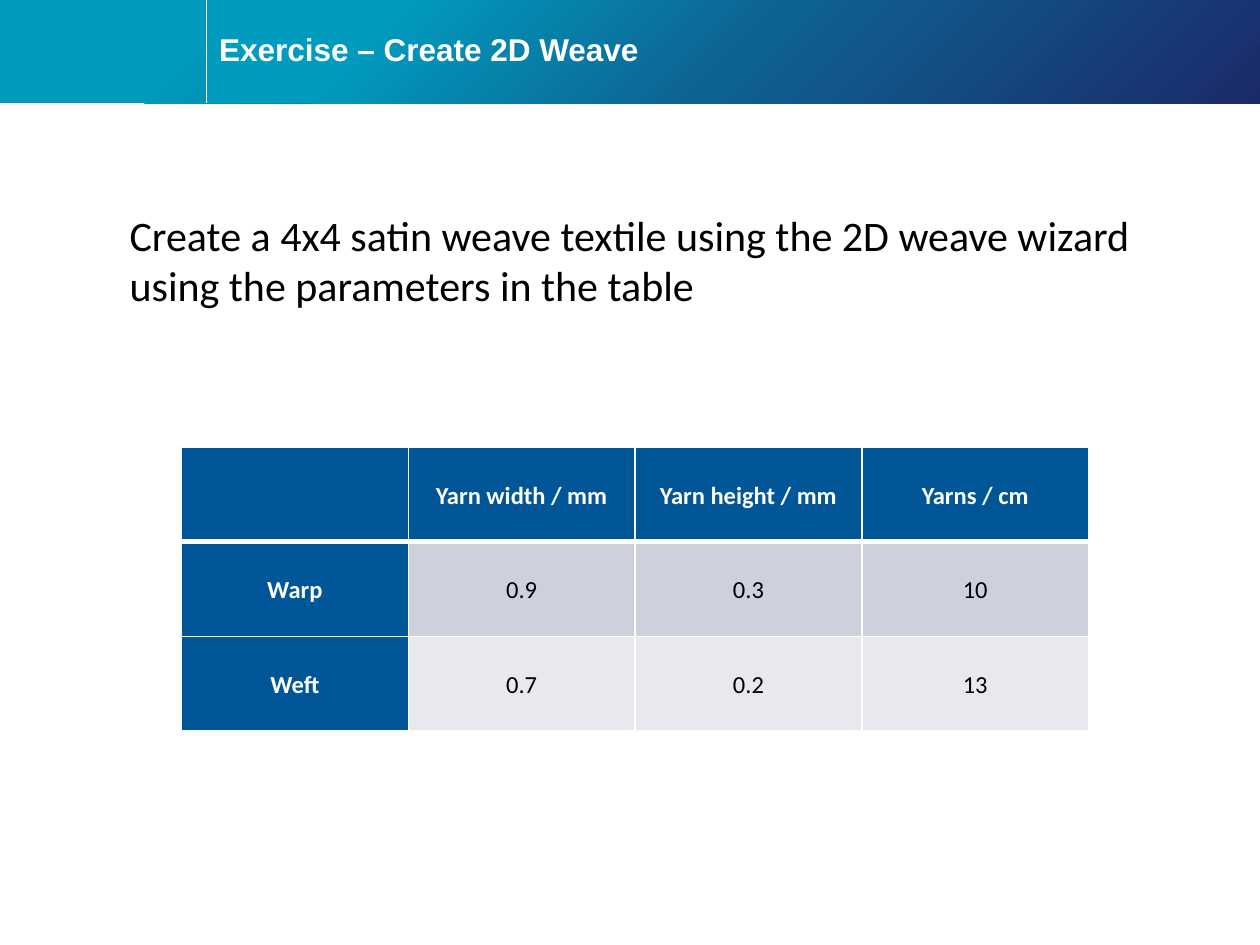
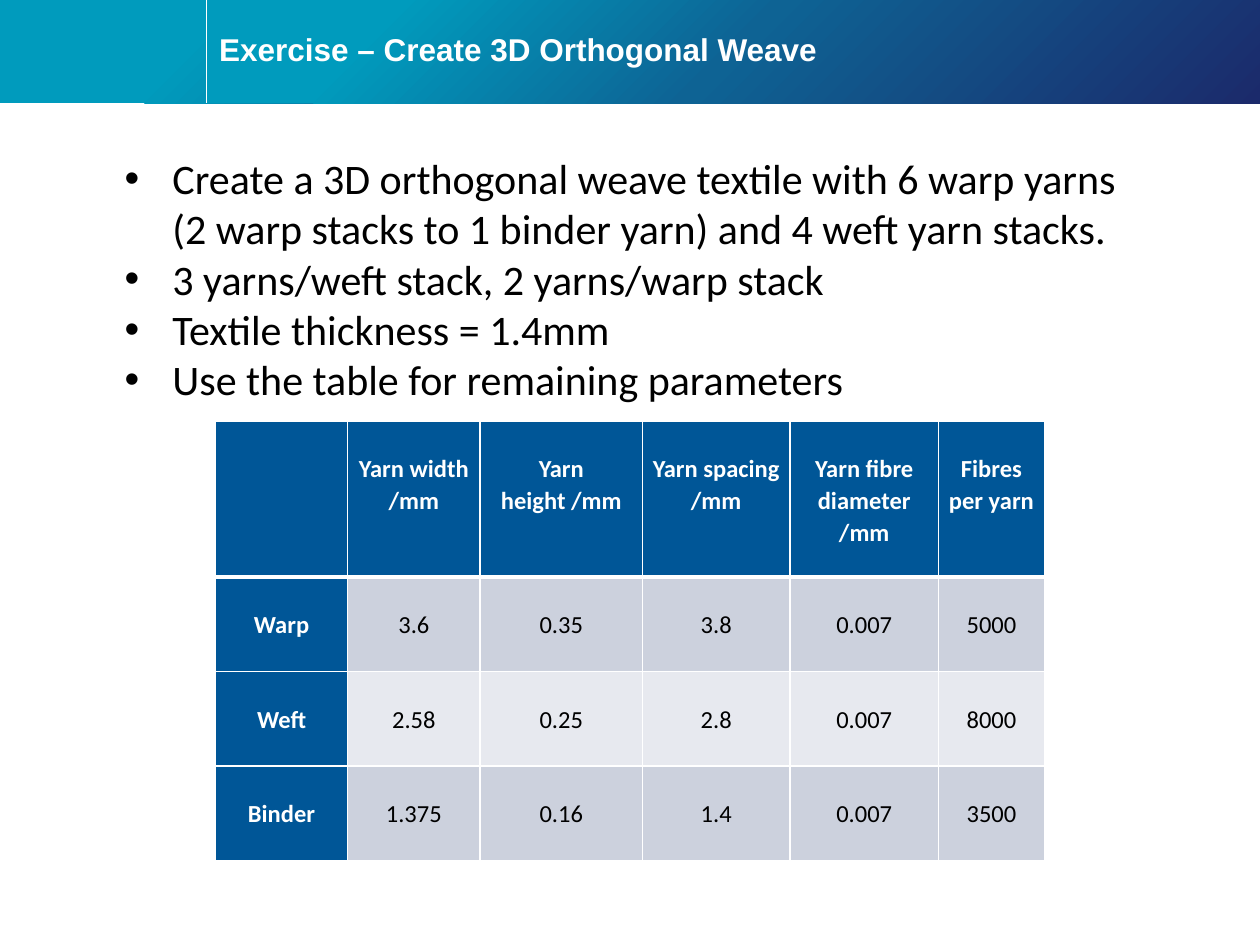
"""Build two textile weave exercise slides."""
from dataclasses import dataclass
from typing import Any

import lxml.etree
import pptx
import pptx.dml.color
import pptx.enum.shapes
import pptx.enum.text
import pptx.oxml.ns
import pptx.util

Inches = pptx.util.Inches
Pt = pptx.util.Pt
RGB = pptx.dml.color.RGBColor.from_string
qn = pptx.oxml.ns.qn


@dataclass(frozen=True)
class Theme:
    """Colours, fonts and type sizes shared by the slides."""
    white: str = "FFFFFF"
    black: str = "000000"
    heading: str = "005697"
    stripes: tuple[str, str] = ("CCD1DD", "E7E9EF")
    band: tuple[tuple[int, str], ...] = ((17, "009BBD"), (50, "0E6394"), (100, "1B2A6B"))
    title_font: str = "Arial"
    body_font: str = "Calibri"
    title_size: int = 18
    body_size: int = 24
    table_size: int = 14


@dataclass(frozen=True)
class Body:
    """Instruction text and its place in inches."""
    box: tuple[float, float, float, float]
    lines: tuple[str, ...]
    bulleted: bool = False


@dataclass(frozen=True)
class YarnTable:
    """Yarn parameters with column widths and row heights in inches."""
    left: float
    top: float
    widths: tuple[float, ...]
    header_height: float
    rows: tuple[tuple[str, ...], ...]


@dataclass(frozen=True)
class Exercise:
    """Content of one exercise slide."""
    title: str
    body: Body
    yarns: YarnTable


THEME = Theme()
BAND_HEIGHT = 0.82
DIVIDER_X = 1.64
ROW_HEIGHT = 0.75
BULLET_INDENT = 0.38

EXERCISES = (
    Exercise(
        "Exercise – Create 2D Weave",
        Body((0.93, 1.61, 8.22, 0.91),
             ("Create a 4x4 satin weave textile using the 2D weave wizard "
              "using the parameters in the table",)),
        YarnTable(1.44, 3.55, (1.8,) * 4, 0.75, (
            ("", "Yarn width / mm", "Yarn height / mm", "Yarns / cm"),
            ("Warp", "0.9", "0.3", "10"),
            ("Weft", "0.7", "0.2", "13"),
        )),
    ),
    Exercise(
        "Exercise – Create 3D Orthogonal Weave",
        Body((0.89, 1.16, 8.22, 2.12),
             ("Create a 3D orthogonal weave textile with 6 warp yarns "
              "(2 warp stacks to 1 binder yarn) and 4 weft yarn stacks.",
              "3 yarns/weft stack, 2 yarns/warp stack",
              "Textile thickness = 1.4mm",
              "Use the table for remaining parameters"),
             bulleted=True),
        YarnTable(1.71, 3.34, (1.05, 1.05, 1.29, 1.17, 1.18, 0.84), 1.24, (
            ("", "Yarn width /mm", "Yarn height /mm", "Yarn spacing /mm",
             "Yarn fibre diameter /mm", "Fibres per yarn"),
            ("Warp", "3.6", "0.35", "3.8", "0.007", "5000"),
            ("Weft", "2.58", "0.25", "2.8", "0.007", "8000"),
            ("Binder", "1.375", "0.16", "1.4", "0.007", "3500"),
        )),
    ),
)


def apply(target: Any, values: dict[str, Any]) -> None:
    """Set each named format value on the target."""
    for name, value in values.items():
        setattr(target, name, value)


def set_font(paragraph: Any, family: str, size: int, colour: str, bold: bool = False) -> None:
    """Format the font of a paragraph's runs."""
    for run in paragraph.runs:
        apply(run.font, {"name": family, "size": Pt(size), "bold": bold})
        run.font.color.rgb = RGB(colour)


def add_colour(parent: Any, colour: str) -> None:
    """Append a plain RGB colour element."""
    lxml.etree.SubElement(parent, qn("a:srgbClr"), val=colour)


def draw_band(slide: Any, left: float) -> None:
    """Draw a diagonal gradient band from left to the slide edge."""
    band = slide.shapes.add_shape(
        pptx.enum.shapes.MSO_SHAPE.RECTANGLE,
        Inches(left), 0, Inches(10 - left), Inches(BAND_HEIGHT))
    band.shadow.inherit = False
    band.line.fill.background()
    band.fill.gradient()
    band.fill.gradient_angle = 315
    stops = band.fill._fill._gradFill.find(qn("a:gsLst"))
    for stop in list(stops):
        stops.remove(stop)
    for percent, colour in THEME.band:
        add_colour(lxml.etree.SubElement(stops, qn("a:gs"), pos=str(percent * 1000)), colour)


def draw_header(slide: Any, title: str) -> None:
    """Draw the bands, the divider and the slide title."""
    for left in (0, DIVIDER_X):
        draw_band(slide, left)
    divider = slide.shapes.add_connector(
        pptx.enum.shapes.MSO_CONNECTOR.STRAIGHT,
        Inches(DIVIDER_X), 0, Inches(DIVIDER_X), Inches(BAND_HEIGHT))
    divider.line.color.rgb = RGB(THEME.white)
    divider.line.width = Pt(0.5)
    lxml.etree.SubElement(divider._element.spPr, qn("a:effectLst"))

    heading = slide.shapes.add_textbox(
        Inches(DIVIDER_X), Inches(0.03), Inches(8.35), Inches(0.76)).text_frame
    apply(heading, {"word_wrap": True, "text": title,
                    "vertical_anchor": pptx.enum.text.MSO_ANCHOR.MIDDLE})
    heading.paragraphs[0].line_spacing = 0.9
    set_font(heading.paragraphs[0], THEME.title_font, THEME.title_size, THEME.white, True)


def add_bullet(paragraph: Any) -> None:
    """Give a paragraph a hanging round bullet."""
    properties = paragraph._p.get_or_add_pPr()
    indent = Inches(BULLET_INDENT)
    properties.set("marL", str(indent))
    properties.set("indent", str(-indent))
    lxml.etree.SubElement(properties, qn("a:buFont"), typeface=THEME.title_font)
    lxml.etree.SubElement(properties, qn("a:buChar"), char="•")


def draw_body(slide: Any, body: Body) -> None:
    """Draw the instruction text."""
    instructions = slide.shapes.add_textbox(*map(Inches, body.box)).text_frame
    apply(instructions, {"word_wrap": True, "text": "\n".join(body.lines),
                         "auto_size": pptx.enum.text.MSO_AUTO_SIZE.SHAPE_TO_FIT_TEXT})
    for paragraph in instructions.paragraphs:
        if body.bulleted:
            add_bullet(paragraph)
        set_font(paragraph, THEME.body_font, THEME.body_size, THEME.black)


def set_borders(cell: Any, row: int) -> None:
    """Give a cell white borders, thicker between header and values."""
    properties = cell._tc.get_or_add_tcPr()
    widths = {"L": 1, "R": 1, "T": 3 if row == 1 else 1, "B": 3 if row == 0 else 1}
    for position, (side, width) in enumerate(widths.items()):
        border = lxml.etree.Element(qn(f"a:ln{side}"), w=str(Pt(width)))
        add_colour(lxml.etree.SubElement(border, qn("a:solidFill")), THEME.white)
        properties.insert(position, border)


def fill_cell(cell: Any, text: str, row: int, column: int) -> None:
    """Write and format one cell of the yarn table."""
    is_heading = row == 0 or column == 0
    apply(cell, {"text": text, "margin_left": Inches(0.07), "margin_right": Inches(0.07),
                 "margin_top": Inches(0.25), "margin_bottom": 0,
                 "vertical_anchor": pptx.enum.text.MSO_ANCHOR.TOP})
    cell.fill.solid()
    cell.fill.fore_color.rgb = RGB(THEME.heading if is_heading else THEME.stripes[(row - 1) % 2])
    set_borders(cell, row)
    paragraph = cell.text_frame.paragraphs[0]
    apply(paragraph, {"alignment": pptx.enum.text.PP_ALIGN.CENTER, "line_spacing": 1.07})
    set_font(paragraph, THEME.body_font, THEME.table_size,
             THEME.white if is_heading else THEME.black, is_heading)


def draw_yarns(slide: Any, yarns: YarnTable) -> None:
    """Draw the table of yarn parameters."""
    heights = (yarns.header_height,) + (ROW_HEIGHT,) * (len(yarns.rows) - 1)
    table = slide.shapes.add_table(
        len(heights), len(yarns.widths), Inches(yarns.left), Inches(yarns.top),
        Inches(sum(yarns.widths)), Inches(sum(heights))).table
    apply(table, {"first_col": True})
    for column, width in zip(table.columns, yarns.widths):
        column.width = Inches(width)
    for row, (texts, height) in enumerate(zip(yarns.rows, heights)):
        table.rows[row].height = Inches(height)
        for column, text in enumerate(texts):
            fill_cell(table.cell(row, column), text, row, column)


def main() -> None:
    """Build and save the presentation."""
    presentation = pptx.Presentation()
    apply(presentation, {"slide_width": Inches(10), "slide_height": Inches(7.5)})
    for exercise in EXERCISES:
        slide = presentation.slides.add_slide(presentation.slide_layouts[6])
        draw_header(slide, exercise.title)
        draw_yarns(slide, exercise.yarns)
        draw_body(slide, exercise.body)
    presentation.save("out.pptx")


if __name__ == "__main__":
    main()
